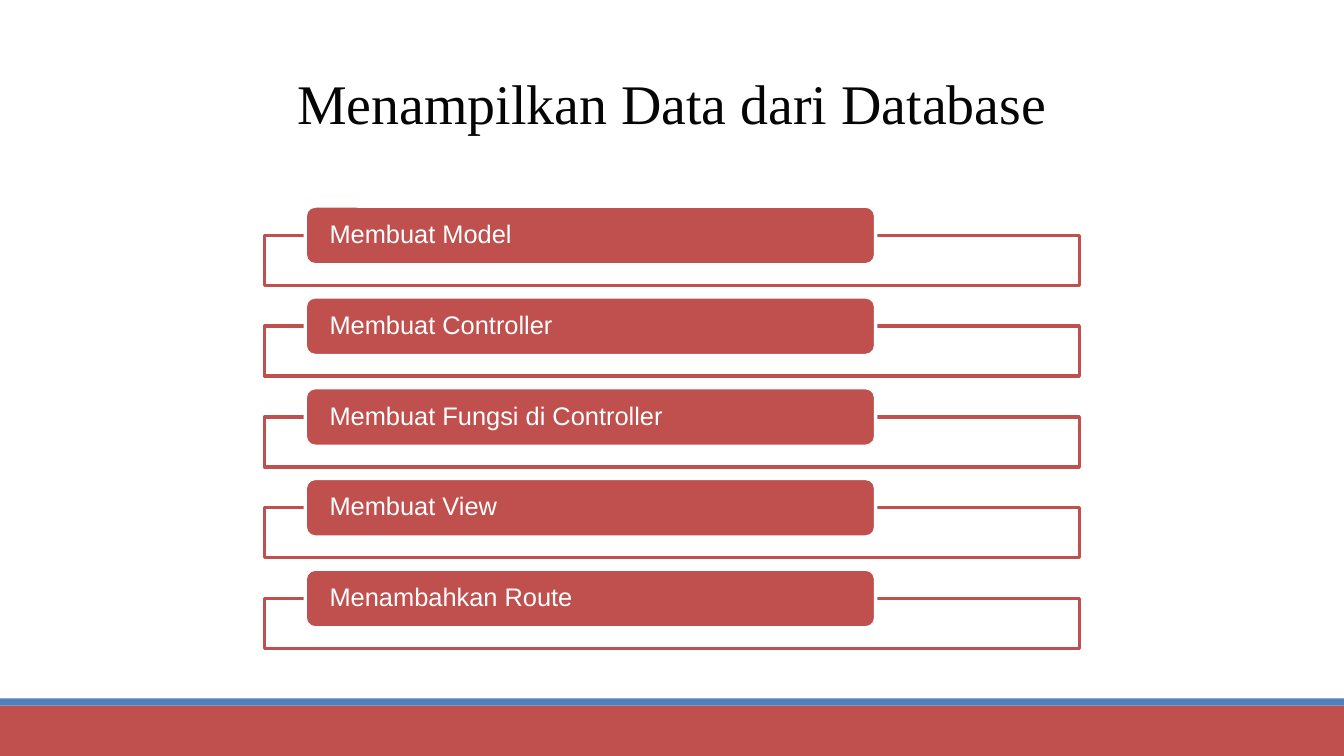
from dataclasses import dataclass

from lxml import etree
from pptx import Presentation
from pptx.dml.color import RGBColor
from pptx.enum.shapes import MSO_SHAPE
from pptx.enum.text import MSO_ANCHOR, PP_ALIGN
from pptx.oxml.ns import qn
from pptx.util import Pt

RECT = MSO_SHAPE.RECTANGLE
ROUNDED = MSO_SHAPE.ROUNDED_RECTANGLE
MIDDLE = MSO_ANCHOR.MIDDLE
LEFT, CENTER = PP_ALIGN.LEFT, PP_ALIGN.CENTER


@dataclass(frozen=True)
class Theme:
    red: str = "C0504D"
    blue: str = "4F81BD"
    white: str = "FFFFFF"
    ink: str = "050505"
    title_font: str = "Times New Roman"
    body_font: str = "Arial"
    title_size: float = 33
    body_size: float = 15
    line_width: float = 2


THEME = Theme()
SLIDE_WIDTH, SLIDE_HEIGHT = 793.44, 446.4
STEPS = [
    "Membuat Model",
    "Membuat Controller",
    "Membuat Fungsi di Controller",
    "Membuat View",
    "Menambahkan Route",
]


def set_all(target, values):
    for name, value in values.items():
        setattr(target, name, value)


def add_block(page, kind, box, fill, line=None, opacity=None):
    """Add a filled shape; box is left, top, width, height in points."""
    block = page.shapes.add_shape(kind, *map(Pt, box))
    block.shadow.inherit = False
    block.fill.solid()
    block.fill.fore_color.rgb = RGBColor.from_string(fill)
    if line:
        block.line.color.rgb = RGBColor.from_string(line)
        block.line.width = Pt(THEME.line_width)
    else:
        block.line.fill.background()
    if opacity is not None:
        color = block._element.spPr.find(qn("a:solidFill"))[0]
        etree.SubElement(color, qn("a:alpha"), val=str(opacity * 1000))
    return block


def write(shape, text, font, size, color, inset=0, **para_format):
    frame = shape.text_frame
    set_all(frame, {
        "word_wrap": True, "vertical_anchor": MIDDLE,
        "margin_left": Pt(inset), "margin_right": Pt(inset),
        "margin_top": 0, "margin_bottom": 0,
    })
    para = frame.paragraphs[0]
    set_all(para, para_format)
    span = para.add_run()
    span.text = text
    set_all(span.font, {"name": font, "size": Pt(size)})
    span.font.color.rgb = RGBColor.from_string(color)


def draw_footer(page, box):
    left, top, width, height = box
    stripe = 4.3
    add_block(page, RECT, (left, top + stripe, width, height - stripe), THEME.red)
    add_block(page, RECT, (left, top, width, stripe), THEME.blue)


def draw_title(page, box, text):
    title = page.shapes.add_textbox(*map(Pt, box))
    write(title, text, THEME.title_font, THEME.title_size, THEME.ink,
          alignment=CENTER)


def draw_step(page, box, text):
    left, top, width, height = box
    label_height = 34.6
    frame_top = label_height / 2
    # Open frame behind the label
    add_block(page, RECT, (left, top + frame_top, width, height - frame_top),
              THEME.white, THEME.red, opacity=90)
    # Label, indented by 5 % and covering 70 % of the frame
    label = add_block(page, ROUNDED,
                      (left + width * 0.05, top, width * 0.7, label_height),
                      THEME.red, THEME.white)
    write(label, text, THEME.body_font, THEME.body_size, THEME.white,
          inset=12.7, alignment=LEFT, line_spacing=0.9)


def draw_steps(page, box, steps):
    left, top, width, height = box
    step_height = 46.8
    pitch = (height - step_height) / (len(steps) - 1)
    for index, text in enumerate(steps):
        draw_step(page, (left, top + index * pitch, width, step_height), text)


def main():
    deck = Presentation()
    set_all(deck, {"slide_width": Pt(SLIDE_WIDTH),
                   "slide_height": Pt(SLIDE_HEIGHT)})
    page = deck.slides.add_slide(deck.slide_layouts[6])
    draw_footer(page, (0, 412.4, SLIDE_WIDTH, SLIDE_HEIGHT - 412.4))
    draw_title(page, (31, 31.7, 731.5, 56.9), "Menampilkan Data dari Database")
    draw_steps(page, (156.2, 121.7, 481, 261.2), STEPS)
    deck.save("out.pptx")


if __name__ == "__main__":
    main()
